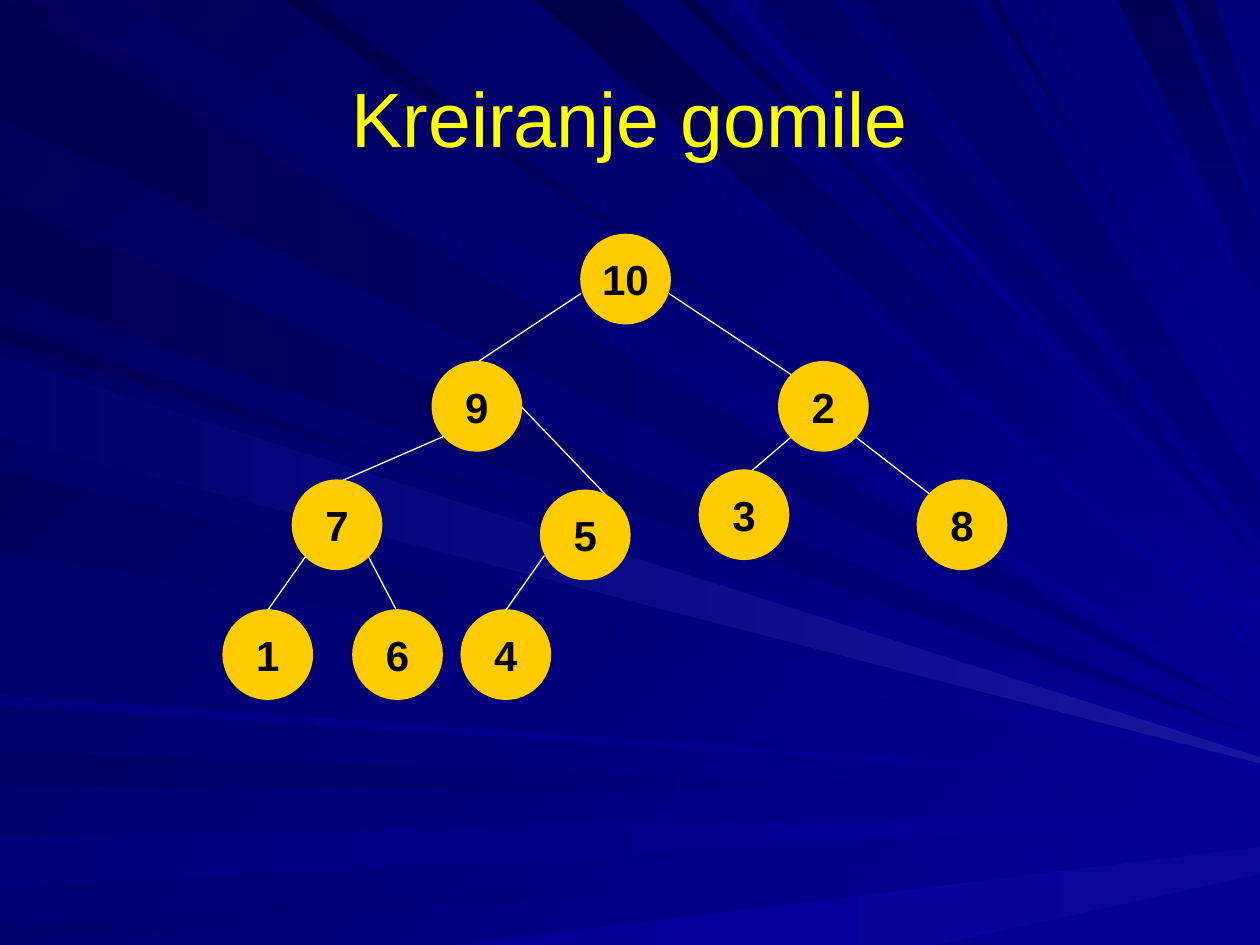
from lxml import etree
from pptx import Presentation
from pptx import util as u
from pptx.dml.color import RGBColor
from pptx.enum import shapes, text
from pptx.oxml.ns import qn

PX = 9144  # one px is a hundredth of an inch
WIDTH, HEIGHT = 1000, 750
FONT = "Arial"
TITLE = "Kreiranje gomile"

# clockwise direction of a gradient
DOWN, LEFTWARD, UP_LEFT = 90, 180, 225
BACKDROP = ("000099", "000057", UP_LEFT)

# Each ray runs from a stretch of one slide edge to a tip on the right edge:
# first colour, last colour, direction, stretch, tip (one height, or upper and lower)
RAYS = {
    "left": [
        ("000080", "000051", LEFTWARD, (2, 93), (570,)),
        ("000099", "000060", LEFTWARD, (596, 623), (632,)),
        ("000099", "00007C", LEFTWARD, (665, 704), (643, 651)),
        ("000099", "00006E", LEFTWARD, (735, 750), (662,)),
        ("000099", "000053", UP_LEFT, (258, 270), (589,)),
        ("000080", "000055", LEFTWARD, (159, 228), (585,)),
        ("000099", "000060", UP_LEFT, (278, 342), (596, 602)),
        ("000099", "00005C", UP_LEFT, (374, 437), (606,)),
        ("000099", "000081", LEFTWARD, (552, 560), (622,)),
        ("1616A1", "00006E", LEFTWARD, (283, 347), (601, 606)),
    ],
    "top": [
        ("000099", "00005C", UP_LEFT, (101, 26), (563,)),
        ("000099", "00006A", UP_LEFT, (416, 398), (515, 521)),
        ("000099", "000046", UP_LEFT, (492, 426), (479, 507)),
        ("000099", "00004E", UP_LEFT, (552, 540), (463,)),
        ("000064", "000080", DOWN, (661, 606), (446,)),
        ("000055", "000080", DOWN, (930, 887), (183, 237)),
        ("000059", "000080", DOWN, (964, 939), (114, 167)),
        ("000099", "00004A", UP_LEFT, (247, 225), (550,)),
        ("000099", "000081", UP_LEFT, (588, 577), (454,)),
        ("000064", "000080", DOWN, (770, 686), (390, 428)),
        ("000099", "000057", UP_LEFT, (792, 785), (357,)),
        ("000099", "00006E", UP_LEFT, (824, 815), (336,)),
        ("000099", "000078", UP_LEFT, (872, 865), (253,)),
    ],
    "bottom": [("07079B", "000099", LEFTWARD, (364, 742), (672, 694))],
}

# heap value: left, top
NODE_SIZE = 71
NODES = {
    8: (728, 381), 6: (280, 484), 4: (366, 484), 5: (429, 389), 1: (177, 484),
    3: (555, 373), 7: (232, 381), 9: (343, 287), 10: (461, 186), 2: (618, 287),
}
EDGES = [
    (461, 233, 378, 288), (531, 233, 629, 298), (268, 383, 353, 346),
    (413, 322, 481, 393), (243, 441, 212, 485), (292, 441, 315, 485),
    (432, 441, 401, 485), (629, 346, 595, 375), (678, 346, 739, 393),
]


def px(*lengths):
    return [u.Emu(length * PX) for length in lengths]


def rgb(colour):
    return RGBColor.from_string(colour)


def paint_gradient(fill, first, last, angle):
    fill.gradient()
    fill.gradient_angle = 360 - angle
    for stop, colour in zip(fill.gradient_stops, (first, last)):
        stop.color.rgb = rgb(colour)


def write(shape, words, size, colour, bold=False):
    frame = shape.text_frame
    frame.text = words
    frame.word_wrap = True
    frame.vertical_anchor = text.MSO_ANCHOR.MIDDLE
    paragraph = frame.paragraphs[0]
    paragraph.alignment = text.PP_ALIGN.CENTER
    font = paragraph.runs[0].font
    font.name, font.size, font.bold = FONT, u.Pt(size), bold
    font.color.rgb = rgb(colour)


def edge_point(side, along):
    return {"left": (0, along), "top": (along, 0), "bottom": (along, HEIGHT)}[side]


def add_ray(slide, side, first, last, angle, stretch, tip):
    base = [edge_point(side, along) for along in stretch]
    corners = base + [(WIDTH, height) for height in reversed(tip)]
    builder = slide.shapes.build_freeform(*corners[0], scale=PX)
    builder.add_line_segments(corners[1:], close=True)
    ray = builder.convert_to_shape()
    ray.shadow.inherit = False
    ray.line.fill.background()
    paint_gradient(ray.fill, first, last, angle)


def add_edge(slide, ends):
    edge = slide.shapes.add_connector(shapes.MSO_CONNECTOR.STRAIGHT, *px(*ends))
    edge.line.color.rgb = rgb("FFFFFF")
    edge.line.width = u.Pt(0.75)
    etree.SubElement(edge._element.spPr, qn("a:effectLst"))


def add_node(slide, value, left, top):
    node = slide.shapes.add_shape(
        shapes.MSO_SHAPE.OVAL, *px(left, top, NODE_SIZE, NODE_SIZE))
    node.shadow.inherit = False
    node.fill.solid()
    node.fill.fore_color.rgb = node.line.color.rgb = rgb("FFCC00")
    node.line.width = u.Pt(0.75)
    frame = node.text_frame
    frame.margin_left = frame.margin_right = frame.margin_top = frame.margin_bottom = 0
    write(node, str(value), 24, "000000", bold=True)


def main():
    deck = Presentation()
    deck.slide_width, deck.slide_height = px(WIDTH, HEIGHT)
    slide = deck.slides.add_slide(deck.slide_layouts[6])
    paint_gradient(slide.background.fill, *BACKDROP)
    for side, rays in RAYS.items():
        for ray in rays:
            add_ray(slide, side, *ray)
    write(slide.shapes.add_textbox(*px(50, 30, 900, 125)), TITLE, 44, "FFFF00")
    for ends in EDGES:
        add_edge(slide, ends)
    for value, (left, top) in NODES.items():
        add_node(slide, value, left, top)
    deck.save("out.pptx")


if __name__ == "__main__":
    main()
